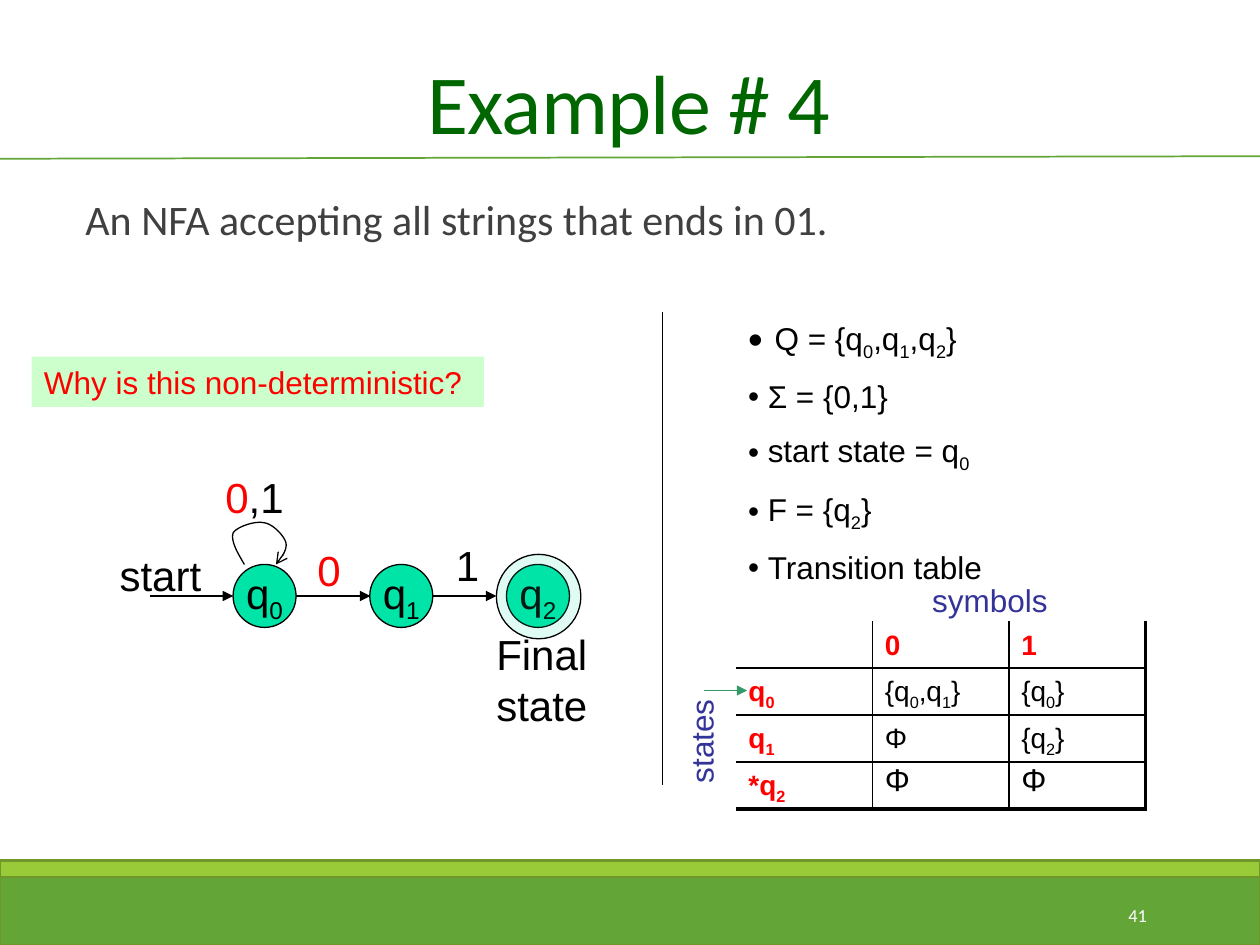
from dataclasses import dataclass
from typing import NamedTuple

from lxml import etree
from pptx import Presentation
from pptx.dml.color import RGBColor
from pptx.enum.shapes import MSO_CONNECTOR, MSO_SHAPE
from pptx.enum.text import MSO_ANCHOR, PP_ALIGN
from pptx.oxml.ns import qn
from pptx.util import Inches, Pt

RECT, OVAL = MSO_SHAPE.RECTANGLE, MSO_SHAPE.OVAL
LEFT, CENTER, RIGHT = PP_ALIGN.LEFT, PP_ALIGN.CENTER, PP_ALIGN.RIGHT
TOP, MIDDLE, BOTTOM = MSO_ANCHOR.TOP, MSO_ANCHOR.MIDDLE, MSO_ANCHOR.BOTTOM
STRAIGHT = MSO_CONNECTOR.STRAIGHT
SLIDE_W, SLIDE_H = Inches(10), Inches(7.5)
UNIT = SLIDE_W // 100  # the slide is a grid of 100 columns by 75 rows


@dataclass(frozen=True)
class Theme:
    sans: str = "Calibri"
    arial: str = "Arial"
    black: str = "000000"
    white: str = "FFFFFF"
    red: str = "FF0000"
    body: str = "404040"
    title: str = "006600"
    green: str = "63A537"
    lime: str = "99CB38"
    olive: str = "719629"
    state: str = "00E4A8"
    note: str = "CCFFCC"
    axis: str = "333399"
    pointer: str = "339966"
    title_size: float = 48
    large: float = 24
    medium: float = 18
    cell: float = 16
    number: float = 10.5


T = Theme()


class Box(NamedTuple):
    x: float
    y: float
    w: float
    h: float


class Line(NamedTuple):
    x1: float
    y1: float
    x2: float
    y2: float
    color: str = T.black
    width: float = 0.75
    arrow: str = ""


class Label(NamedTuple):
    box: Box
    text: str
    color: str = T.black
    size: float = T.large
    rotation: int = 0


class Cell(NamedTuple):
    text: str
    color: str = T.black
    bold: bool = False
    size: float = T.cell
    top: float = 0.7


def grid(*values: float) -> list[int]:
    return [round(v * UNIT) for v in values]


def rgb(color: str) -> RGBColor:
    return RGBColor.from_string(color)


def add_text(p, text: str, *, size: float = T.large, color: str = T.black, font: str = T.arial,
             bold: bool = False, align=LEFT) -> None:
    """Append text to a paragraph; the character after each underscore is a subscript."""
    p.alignment = align
    first, *rest = text.split("_")
    pieces = [(first, False)]
    for part in rest:
        pieces += [(part[0], True), (part[1:], False)]
    for piece, subscript in pieces:
        if not piece:
            continue
        r = p.add_run()
        r.text = piece
        f = r.font
        f.name, f.size, f.bold, f.color.rgb = font, Pt(size), bold, rgb(color)
        if subscript:
            r._r.get_or_add_rPr().set("baseline", "-25000")


def add_box(s, box: Box, wrap: bool = False, anchor=TOP):
    sp = s.shapes.add_textbox(*grid(*box))
    sp.text_frame.word_wrap, sp.text_frame.vertical_anchor = wrap, anchor
    return sp


def add_label(s, label: Label) -> None:
    sp = add_box(s, label.box)
    sp.rotation = label.rotation
    for i, text in enumerate(label.text.split("\n")):
        tf = sp.text_frame
        p = tf.add_paragraph() if i else tf.paragraphs[0]
        add_text(p, text, size=label.size, color=label.color)


def add_shape(s, kind, box: Box, fill: str, line: str = "", width: float = 0.75):
    sp = s.shapes.add_shape(kind, *grid(*box))
    sp.shadow.inherit = False
    sp.fill.solid()
    sp.fill.fore_color.rgb = rgb(fill)
    if line:
        sp.line.color.rgb, sp.line.width = rgb(line), Pt(width)
    else:
        sp.line.fill.background()
    return sp


def add_arrowhead(sp, kind: str) -> None:
    etree.SubElement(sp.line._get_or_add_ln(), qn("a:tailEnd"), type=kind)


def add_line(s, line: Line) -> None:
    cx = s.shapes.add_connector(STRAIGHT, *grid(line.x1, line.y1, line.x2, line.y2))
    cx.line.color.rgb, cx.line.width = rgb(line.color), Pt(line.width)
    if line.arrow:
        add_arrowhead(cx, line.arrow)
    etree.SubElement(cx._element.spPr, qn("a:effectLst"))


def add_state(s, box: Box, name: str) -> None:
    tf = add_shape(s, OVAL, box, T.state, T.black).text_frame
    tf.word_wrap, tf.vertical_anchor = False, MIDDLE
    add_text(tf.paragraphs[0], name, align=CENTER)


def add_loop(s, start: tuple, curves: list, steps: int = 12) -> None:
    """Draw joined cubic curves as one open outline with an arrowhead."""
    points = [start]
    for a, b, c in curves:
        o = points[-1]
        for t in (i / steps for i in range(1, steps + 1)):
            u = 1 - t
            points.append(tuple(u**3 * o[k] + 3 * u * u * t * a[k] + 3 * u * t * t * b[k] + t**3 * c[k]
                                for k in (0, 1)))
    fb = s.shapes.build_freeform(*grid(*points[0]))
    fb.add_line_segments([tuple(grid(*pt)) for pt in points[1:]], close=False)
    sp = fb.convert_to_shape()
    sp.shadow.inherit = False
    sp.fill.background()
    sp.line.color.rgb, sp.line.width = rgb(T.black), Pt(0.75)
    add_arrowhead(sp, "arrow")


def add_bullets(s, box: Box, items: list[str]) -> None:
    tf = add_box(s, box, wrap=True).text_frame
    for i, item in enumerate(items):
        p = tf.add_paragraph() if i else tf.paragraphs[0]
        pPr = p._p.get_or_add_pPr()
        indent = grid(1.55 if i else 2.1)[0]
        pPr.set("marL", str(indent))
        pPr.set("indent", str(-indent))
        if i:
            p.space_before = Pt(9)
        else:
            etree.SubElement(pPr, qn("a:buSzPct"), val="133000")
        etree.SubElement(pPr, qn("a:buFont"), typeface=T.arial)
        etree.SubElement(pPr, qn("a:buChar"), char="•")
        add_text(p, item, size=T.medium)


def set_border(cell, side: str, width: float) -> None:
    ln = etree.SubElement(cell._tc.get_or_add_tcPr(), qn(f"a:ln{side}"), w=str(Pt(width)))
    if width:
        fill = etree.SubElement(ln, qn("a:solidFill"))
        etree.SubElement(fill, qn("a:srgbClr"), val=T.black)
    else:
        etree.SubElement(ln, qn("a:noFill"))


def add_transition_table(s, box: Box, rows: list[list[Cell]]) -> None:
    n_rows, n_cols = len(rows), len(rows[0])
    table = s.shapes.add_table(n_rows, n_cols, *grid(*box)).table
    table.first_row = table.horz_banding = False
    for i, row in enumerate(rows):
        for j, item in enumerate(row):
            cell = table.cell(i, j)
            widths = {"L": 1 if j else 0, "R": 1 if j < n_cols - 1 else 2.25,
                      "T": 1 if i else 0, "B": 1 if i < n_rows - 1 else 2.25}
            for side, width in widths.items():
                set_border(cell, side, width)
            cell.fill.background()
            cell.margin_top, cell.margin_bottom = grid(item.top, 0)
            add_text(cell.text_frame.paragraphs[0], item.text, size=item.size,
                     color=item.color, bold=item.bold)


def main() -> None:
    prs = Presentation()
    prs.slide_width, prs.slide_height = SLIDE_W, SLIDE_H
    s = prs.slides.add_slide(prs.slide_layouts[5])

    add_shape(s, RECT, Box(0, 69.2, 100, 5.8), T.green, T.olive, 1.25)
    add_shape(s, RECT, Box(0, 68.3, 100, 1.3), T.lime, T.olive, 1.25)
    add_line(s, Line(-0.3, 12.6, 100, 12.4, T.green, 1))

    title = s.shapes.title
    title.left, title.top, title.width, title.height = grid(4.9, 2.5, 90, 10)
    title.text_frame.vertical_anchor = BOTTOM
    p = title.text_frame.paragraphs[0]
    p.line_spacing = 0.85
    add_text(p, "Example # 4", size=T.title_size, color=T.title, font=T.sans, align=CENTER)
    p.runs[0]._r.get_or_add_rPr().set("spc", "-50")

    p = add_box(s, Box(5.8, 15.3, 90, 11.4), wrap=True).text_frame.paragraphs[0]
    p.line_spacing = 0.9
    add_text(p, "An NFA accepting all strings that ends in 01.", color=T.body, font=T.sans)
    p = add_box(s, Box(81.2, 70.6, 10.8, 4), wrap=True, anchor=MIDDLE).text_frame.paragraphs[0]
    add_text(p, "41", size=T.number, color=T.white, font=T.sans, align=RIGHT)

    state_x, state_y, pitch, size = 18.5, 44.8, 10.85, 5
    mid = state_y + size / 2
    for i in range(3):
        add_state(s, Box(state_x + i * pitch, state_y, size, size), f"q_{i}")
    ring = add_shape(s, OVAL, Box(39.4, 44, 6.7, 6.7), T.state, T.black)
    color = ring.fill._xPr.find(qn("a:solidFill"))[0]
    etree.SubElement(color, qn("a:alpha"), val="12000")
    for x1, x2 in ((11.9, 18.5), (23.5, 29.4), (34.4, 39.4)):
        add_line(s, Line(x1, mid, x2, mid, arrow="triangle"))
    add_loop(s, (19.4, 44.8), [((18.8, 43.8), (18.3, 42.9), (18.5, 42.3)),
                               ((18.8, 41.8), (20.3, 41.3), (21, 41.5)),
                               ((21.7, 41.6), (22.6, 42.6), (22.7, 43.1)),
                               ((22.8, 43.7), (22.3, 44.3), (21.9, 44.8))])

    p = add_box(s, Box(16.9, 36.9, 7.5, 5)).text_frame.paragraphs[0]
    add_text(p, "0", color=T.red)
    add_text(p, ",1")
    note = add_shape(s, RECT, Box(2.5, 28.3, 35.9, 4), T.note)
    note.text_frame.word_wrap = False
    add_text(note.text_frame.paragraphs[0], "Why is this non-deterministic?", size=T.medium, color=T.red)

    add_line(s, Line(52.6, 24.8, 52.6, 62.3))
    add_bullets(s, Box(58.4, 24.8, 35, 22.4), ["Q = {q_0,q_1,q_2}", "Σ = {0,1}", "start state = q_0",
                                               "F = {q_2}", "Transition table"])
    phi = Cell("Φ", size=T.medium, top=0.1)
    add_transition_table(s, Box(58.4, 49.3, 32.5, 14.7), [
        [Cell(""), Cell("0", T.red, True), Cell("1", T.red, True)],
        [Cell("q_0", T.red, True), Cell("{q_0,q_1}"), Cell("{q_0}")],
        [Cell("q_1", T.red, True), Cell("Φ"), Cell("{q_2}")],
        [Cell("*q_2", T.red, True), phi, phi],
    ])
    add_line(s, Line(55.9, 54.8, 59.3, 54.8, T.pointer, arrow="triangle"))

    for label in (
        Label(Box(8.5, 43.1, 8.5, 5), "start"),
        Label(Box(24.2, 42.7, 3.9, 5), "0", T.red),
        Label(Box(35.2, 42.3, 3.9, 5), "1"),
        Label(Box(38.4, 49.4, 9.2, 9), "Final\nstate"),
        Label(Box(51.3, 56.8, 8.7, 4), "states", T.axis, T.medium, 270),
        Label(Box(73, 45.6, 11.2, 4), "symbols", T.axis, T.medium),
    ):
        add_label(s, label)

    prs.save("out.pptx")


if __name__ == "__main__":
    main()
